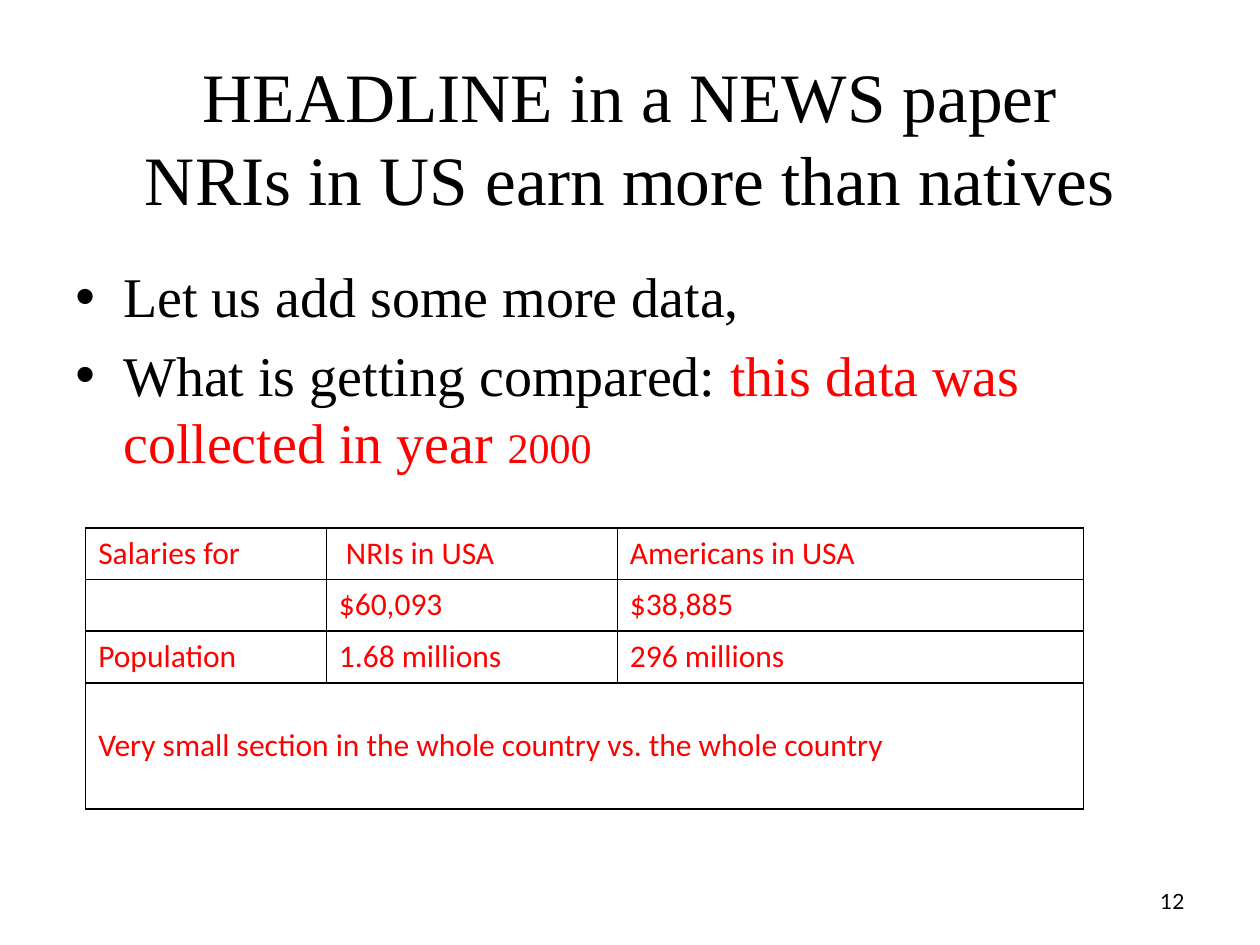
from lxml.etree import SubElement
from pptx import Presentation
from pptx.dml.color import RGBColor
from pptx.enum.text import MSO_ANCHOR as Anchor, PP_ALIGN as Align
from pptx.oxml.ns import qn
from pptx.util import Inches, Pt

WIDTH, HEIGHT = 10, 7.5
MARGIN = 0.05 * WIDTH
BODY_W = WIDTH - 2 * MARGIN
BLACK, RED, WHITE = "000000", "FF0000", "FFFFFF"
SERIF = "Times New Roman"
COLS = [1.91, 2.31, 3.7]
ROWS = [0.41, 0.41, 0.41, 1]
DATA = [
    ["Salaries for", " NRIs in USA", "Americans in USA"],
    ["", "$60,093", "$38,885"],
    ["Population", "1.68 millions", "296 millions"],
    ["Very small section in the whole country vs. the whole country", "", ""],
]


def rgb(value):
    return RGBColor.from_string(value)


def format_run(r, size, font, color):
    r.font.size = Pt(size)
    r.font.name = font
    r.font.color.rgb = rgb(color)


def place(shape, x, y, w, h):
    shape.left, shape.top, shape.width, shape.height = map(Inches, (x, y, w, h))


def add_text(s, x, y, w, h, anchor=Anchor.TOP):
    tf = s.shapes.add_textbox(*map(Inches, (x, y, w, h))).text_frame
    tf.word_wrap = True
    tf.vertical_anchor = anchor
    return tf


def set_title(s, text):
    title = s.shapes.title
    place(title, MARGIN, 0.46, BODY_W, 1.25)
    tf = title.text_frame
    tf.text = text
    tf.vertical_anchor = Anchor.MIDDLE
    p = tf.paragraphs[0]
    p.alignment = Align.CENTER
    for r in p.runs:
        format_run(r, 39.6, SERIF, BLACK)


def add_bullets(s, items):
    tf = add_text(s, MARGIN, 2.03, BODY_W, 2.04)
    for i, parts in enumerate(items):
        p = tf.add_paragraph() if i else tf.paragraphs[0]
        p.space_before = Pt(6.4)
        pPr = p._p.get_or_add_pPr()
        pPr.set("marL", str(Inches(0.38)))
        pPr.set("indent", str(-Inches(0.38)))
        SubElement(pPr, qn("a:buFont"), typeface="Arial")
        SubElement(pPr, qn("a:buChar"), char="•")
        for text, size, color in parts:
            r = p.add_run()
            r.text = text
            format_run(r, size, SERIF, color)


def add_borders(cell):
    tcPr = cell._tc.get_or_add_tcPr()
    for i, side in enumerate(("lnL", "lnR", "lnT", "lnB")):
        ln = tcPr.makeelement(qn(f"a:{side}"), {"w": str(Pt(1))})
        fill = SubElement(ln, qn("a:solidFill"))
        SubElement(fill, qn("a:srgbClr"), val=BLACK)
        tcPr.insert(i, ln)


def add_data_table(s, x, y):
    box = map(Inches, (x, y, sum(COLS), sum(ROWS)))
    table = s.shapes.add_table(len(ROWS), len(COLS), *box).table
    table.first_row = table.horz_banding = False
    for col, w in zip(table.columns, COLS):
        col.width = Inches(w)
    for row, h, texts in zip(table.rows, ROWS, DATA):
        row.height = Inches(h)
        for cell, text in zip(row.cells, texts):
            cell.fill.solid()
            cell.fill.fore_color.rgb = rgb(WHITE)
            add_borders(cell)
            if text:
                cell.text = text
                format_run(cell.text_frame.paragraphs[0].runs[0], 18, "Calibri", RED)
    last = len(ROWS) - 1
    note = table.cell(last, 0)
    note.merge(table.cell(last, len(COLS) - 1))
    note.vertical_anchor = Anchor.MIDDLE


def add_page_number(s, number):
    w = 2.33
    tf = add_text(s, WIDTH - MARGIN - w, 6.95, w, 0.4, Anchor.MIDDLE)
    tf.text = number
    p = tf.paragraphs[0]
    p.alignment = Align.RIGHT
    format_run(p.runs[0], 12, "Lato", BLACK)


def main():
    prs = Presentation()
    prs.slide_width, prs.slide_height = Inches(WIDTH), Inches(HEIGHT)
    s = prs.slides.add_slide(prs.slide_layouts[5])
    add_page_number(s, "12")
    set_title(s, "HEADLINE in a NEWS paper\vNRIs in US earn more than natives")
    add_bullets(s, [
        [("Let us add some more data,", 32, BLACK)],
        [("What is getting compared:", 32, BLACK),
         (" this data was collected in year ", 32, RED),
         ("2000", 24, RED)],
    ])
    add_data_table(s, 0.68, 4.19)
    prs.save("out.pptx")


if __name__ == "__main__":
    main()
